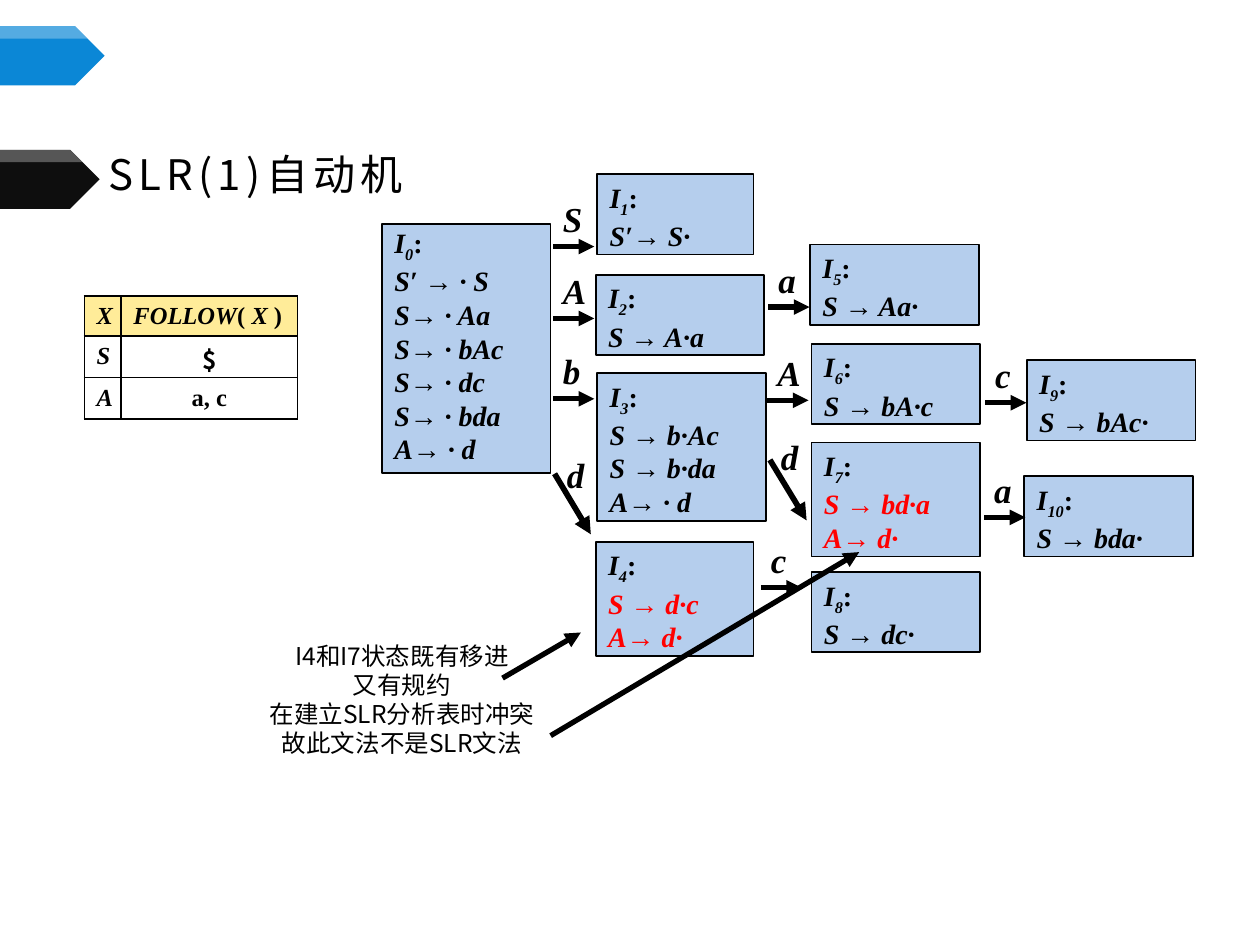
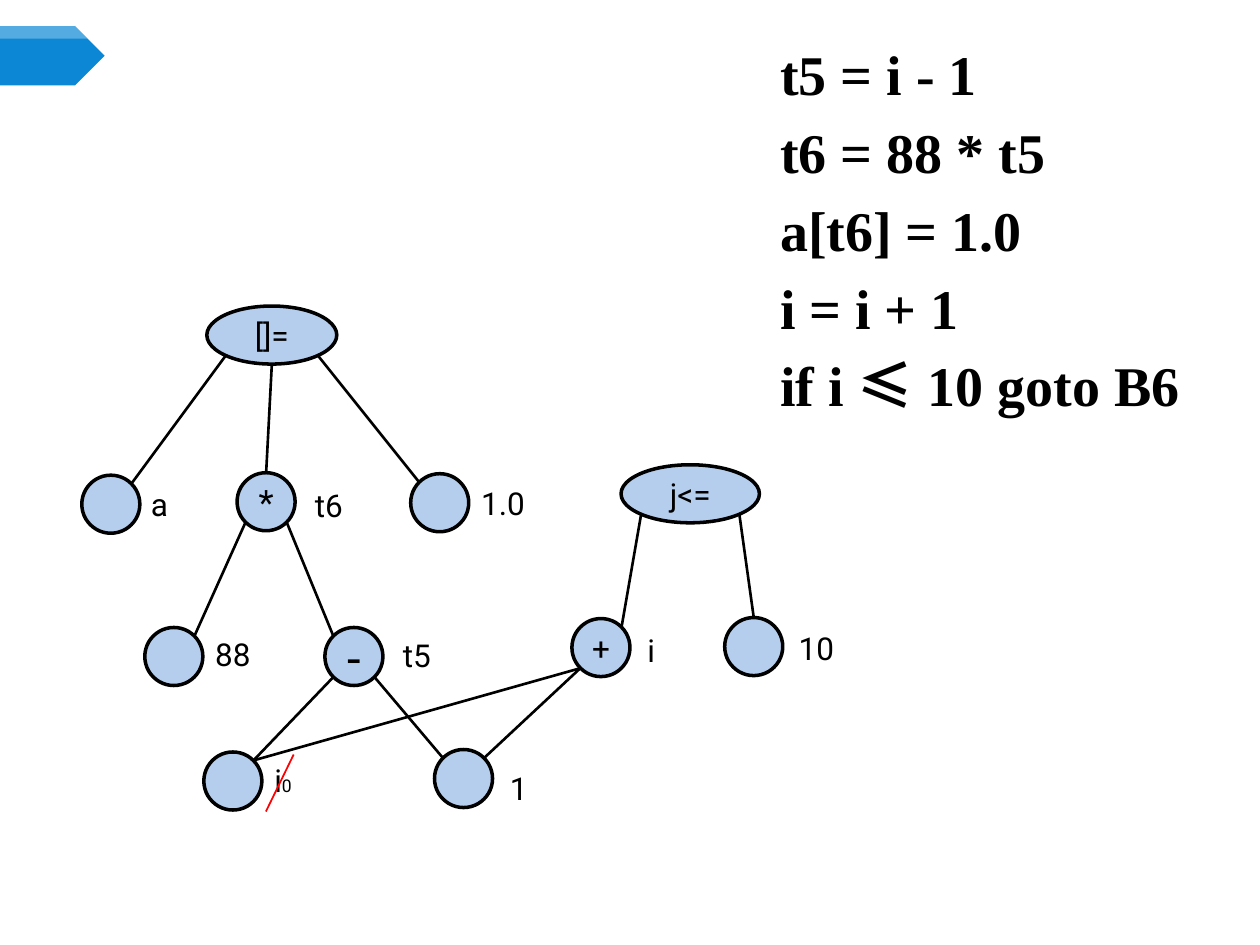
import pptx
import pptx.util
import pptx.dml.color
import pptx.enum.shapes
import pptx.enum.text
import pptx.oxml
import pptx.oxml.ns

Cm, Pt = pptx.util.Cm, pptx.util.Pt
RGB = pptx.dml.color.RGBColor.from_string
Kind = pptx.enum.shapes.MSO_SHAPE
Line = pptx.enum.shapes.MSO_CONNECTOR
Align = pptx.enum.text.PP_ALIGN
Anchor = pptx.enum.text.MSO_ANCHOR
qn = pptx.oxml.ns.qn
NS = pptx.oxml.ns.nsdecls("a")


class Theme:
    ink, red, white = RGB("000000"), RGB("FF0000"), RGB("FFFFFF")
    blue, dark = RGB("0B87D6"), RGB("0E0E0E")
    node, head = RGB("B5CEED"), RGB("FFEC99")
    serif = {"name": "Times New Roman", "bold": True, "italic": False}
    title = {"name": "Noto Sans CJK SC", "size": Pt(24)}
    note = {"name": "Noto Sans CJK JP", "size": Pt(14)}
    code = {**serif, "size": Pt(32)}
    cell = {**serif, "size": Pt(14)}
    state = {**serif, "size": Pt(16), "italic": True}
    move = {**serif, "size": Pt(20), "italic": True}
    tree = {"name": "Roboto", "size": Pt(18)}


def write(frame, lines, look, color=Theme.ink, box=None, para=None):
    """Fill a text frame; a line is a string or a list of (text, changes)."""
    for key, val in {"word_wrap": True, "vertical_anchor": Anchor.TOP, **(box or {})}.items():
        setattr(frame, key, val)
    for n, line in enumerate(lines):
        par = frame.add_paragraph() if n else frame.paragraphs[0]
        for key, val in {"alignment": Align.LEFT, **(para or {})}.items():
            setattr(par, key, val)
        if n == 0:
            par.space_before = Pt(0)
        for text, diff in [(line, {})] if isinstance(line, str) else line:
            run = par.add_run()
            run.text = text
            style = {**look, **diff}
            tint = style.pop("color", color)
            drop = style.pop("drop", None)
            for key, val in style.items():
                setattr(run.font, key, val)
            run.font.color.rgb = tint
            props = run.font._element
            props.append(pptx.oxml.parse_xml(f'<a:ea {NS} typeface="{style["name"]}"/>'))
            if drop:
                props.set("baseline", drop)


def link(slide, ends, width, color=Theme.ink, arrow=False):
    """Draw a straight line between two points in centimetres."""
    wire = slide.shapes.add_connector(Line.STRAIGHT, *[Cm(v) for v in ends])
    wire.line.color.rgb = color
    wire.line.width = Pt(width)
    if arrow:
        wire.line._ln.append(pptx.oxml.parse_xml(f'<a:tailEnd {NS} type="triangle"/>'))
    wire.element.spPr.append(pptx.oxml.parse_xml(f"<a:effectLst {NS}/>"))


deck = pptx.Presentation()
deck.slide_width, deck.slide_height = Cm(25.4), Cm(19.05)
auto = deck.slides.add_slide(deck.slide_layouts[5])
dag = deck.slides.add_slide(deck.slide_layouts[1])

# Arrow bands: the blue one goes to the master, the dark one marks the title
for left, top, color, shared in [(0, 0.53, Theme.blue, True), (-0.1, 3.02, Theme.dark, False)]:
    band = auto.shapes.add_shape(Kind.PENTAGON, Cm(left), Cm(top), Cm(2.11), Cm(1.19))
    band.fill.solid()
    band.fill.fore_color.rgb = color
    pen = auto.shapes.build_freeform(Cm(left), Cm(top))
    pen.add_line_segments([(Cm(left + x), Cm(top + y)) for x, y in [(1.51, 0), (1.76, 0.25), (0, 0.25)]])
    shine = pen.convert_to_shape()
    shine.fill.solid()
    shine.fill.fore_color.rgb = Theme.white
    shade = shine.element.spPr.find(qn("a:solidFill"))[0]
    shade.append(pptx.oxml.parse_xml(f'<a:alpha {NS} val="30000"/>'))
    for num, part in enumerate([band, shine], 90):
        part.line.fill.background()
        part.shadow.inherit = False
        if shared:
            part.element.nvSpPr.cNvPr.set("id", str(num))
            deck.slide_master.shapes.element.append(part.element)

# Slide 1: title
title = auto.shapes.title
title.left, title.top, title.width, title.height = Cm(1.93), Cm(3.15), Cm(22.02), Cm(0.99)
write(title.text_frame, ["SLR(1)自动机"], Theme.title, box={"vertical_anchor": Anchor.BOTTOM})
title.text_frame.paragraphs[0].runs[0].font._element.set("spc", "300")

# Note on the conflict
note = auto.shapes.add_textbox(Cm(5.11), Cm(12.8), Cm(5.99), Cm(2.64))
write(note.text_frame, ["I4和I7状态既有移进", "又有规约", "在建立SLR分析表时冲突", "故此文法不是SLR文法"],
      Theme.note, para={"alignment": Align.CENTER, "line_spacing": Pt(16.6)})

# FOLLOW table
ital = {"italic": True}
cells = [
    [[("X", ital)], [("FOLLOW", ital), ("( ", {}), ("X", ital), (" )", {})]],
    [[("S", ital)], [("$", {"name": "Noto Sans CJK SC"})]],
    [[("A", ital)], "a, c"],
]
grid = auto.shapes.add_table(3, 2, Cm(1.7), Cm(5.97), Cm(4.3), Cm(2.48)).table
grid.first_row = grid.horz_banding = False
for col, wide in zip(grid.columns, [0.74, 3.56]):
    col.width = Cm(wide)
for row, tall in zip(grid.rows, [0.8, 0.84, 0.84]):
    row.height = Cm(tall)
for r, row in enumerate(cells):
    for c, text in enumerate(row):
        cell = grid.cell(r, c)
        props = cell._tc.get_or_add_tcPr()
        for side in "LRTB":
            props.append(pptx.oxml.parse_xml(
                f'<a:ln{side} {NS} w="12700"><a:solidFill><a:srgbClr val="{Theme.ink}"/>'
                f"</a:solidFill></a:ln{side}>"))
        if r:
            cell.fill.background()
        else:
            cell.fill.solid()
            cell.fill.fore_color.rgb = Theme.head
        for key, val in {"margin_left": Cm(0.25), "margin_right": Cm(0.25), "margin_top": Cm(0.1),
                         "margin_bottom": Cm(0.1), "vertical_anchor": Anchor.MIDDLE}.items():
            setattr(cell, key, val)
        write(cell.text_frame, [text], Theme.cell, box={"vertical_anchor": None, "word_wrap": None},
              para={"alignment": Align.CENTER if r and c else Align.LEFT})

# States: left, top, width, items, conflict
states = [
    (7.7, 4.52, 3.4, ["S′ → · S", "S→ · Aa", "S→ · bAc", "S→ · dc", "S→ · bda", "A→ · d"], False),
    (12.04, 3.51, 3.15, ["S′→ S·"], False),
    (12.01, 5.54, 3.4, ["S → A·a"], False),
    (12.04, 7.52, 3.4, ["S → b·Ac", "S → b·da", "A→ · d"], False),
    (12.01, 10.92, 3.18, ["S → d·c", "A→ d·"], True),
    (16.33, 4.93, 3.4, ["S → Aa·"], False),
    (16.36, 6.93, 3.4, ["S → bA·c"], False),
    (16.36, 8.92, 3.4, ["S → bd·a", "A→ d·"], True),
    (16.36, 11.53, 3.4, ["S → dc·"], False),
    (20.7, 7.26, 3.4, ["S → bAc·"], False),
    (20.65, 9.6, 3.4, ["S → bda·"], False),
]
for num, (left, top, wide, items, clash) in enumerate(states):
    tall = 0.26 + 0.68 * (len(items) + 1)
    box = auto.shapes.add_shape(Kind.RECTANGLE, Cm(left), Cm(top), Cm(wide), Cm(tall))
    box.shadow.inherit = False
    box.fill.solid()
    box.fill.fore_color.rgb = Theme.node
    box.line.color.rgb = Theme.ink
    box.line.width = Pt(1)
    name = [("I", {}), (str(num), {"drop": "-25000"}), (":", {"italic": False})]
    tint = {"color": Theme.red if clash else Theme.ink}
    write(box.text_frame, [name] + [[(item, tint)] for item in items], Theme.state,
          para={"line_spacing": None if num else Pt(19.2)})

# Moves: level arrows sit just below their letter, slanted ones have own ends
moves = [
    ("S", 11.1, 3.86, None), ("A", 11.1, 5.31, None), ("b", 11.1, 6.93, None),
    ("d", 11.18, 9.02, (11.18, 9.55, 11.91, 10.77)),
    ("a", 15.44, 5.08, None), ("A", 15.42, 6.96, None),
    ("d", 15.49, 8.66, (15.52, 9.27, 16.26, 10.49)),
    ("c", 15.29, 10.74, None), ("c", 19.81, 7.01, None), ("a", 19.79, 9.32, None),
]
for sign, left, top, slant in moves:
    tag = auto.shapes.add_textbox(Cm(left), Cm(top), Cm(1.47), Cm(1.12))
    write(tag.text_frame, [sign], Theme.move)
    level = (left + 0.05, top + 1.11, left + 0.88, top + 1.11)
    link(auto, slant or level, 3.25 if slant else 3, arrow=True)

# Arrows from the note to the two conflicts
for ends in [(10.13, 13.67, 11.71, 12.75), (11.1, 14.83, 17.32, 11.13)]:
    link(auto, ends, 3, arrow=True)

# Slide 2: code list
dag.shapes.title.element.getparent().remove(dag.shapes.title.element)
body = dag.placeholders[1]
body.left, body.top, body.width, body.height = Cm(15.47), Cm(0.69), Cm(12.85), Cm(11.43)
write(body.text_frame,
      ["t5 = i - 1", "t6 = 88 * t5", "a[t6] = 1.0", "i = i + 1",
       [("if i ", {}), ("≤", {"name": "Noto Sans CJK SC"}), (" 10 goto B6", {})]],
      Theme.code, para={"line_spacing": Pt(38), "space_before": Pt(6.4)})
for par in body.text_frame.paragraphs:
    props = par._p.get_or_add_pPr()
    props.set("marL", "0")
    props.set("indent", "0")
    props.append(pptx.oxml.parse_xml(f"<a:buNone {NS}/>"))

# Nodes: left, top, width, sign, sign size, label, label place
side = 1.17
nodes = {
    "i0": (4.11, 15.16, side, "", 18, [("i", {}), ("0", {"size": Pt(10)})], (5.28, 15.21)),
    "one": (8.76, 15.11, side, "", 18, "1", (10.03, 15.37)),
    "sub": (6.55, 12.65, side, "-", 28, "t5", (7.87, 12.7)),
    "88": (2.92, 12.65, side, "", 18, "88", (4.09, 12.67)),
    "mul": (4.78, 9.53, side, "*", 20, "t6", (6.1, 9.68)),
    "a": (1.65, 9.58, side, "", 18, "a", (2.79, 9.65)),
    "real": (8.28, 9.55, side, "", 18, "1.0", (9.45, 9.63)),
    "set": (4.17, 6.17, 2.62, "[]=", 18, None, None),
    "add": (11.53, 12.47, side, "+", 18, "i", (12.8, 12.6)),
    "jump": (12.52, 9.37, 2.79, "j<=", 18, None, None),
    "ten": (14.61, 12.45, side, "", 18, "10", (15.85, 12.55)),
}
flush = {f"margin_{edge}": 0 for edge in ("left", "right", "top", "bottom")}
for left, top, wide, sign, size, label, place in nodes.values():
    oval = dag.shapes.add_shape(Kind.OVAL, Cm(left), Cm(top), Cm(wide), Cm(side))
    oval.shadow.inherit = False
    oval.fill.solid()
    oval.fill.fore_color.rgb = Theme.node
    oval.line.color.rgb = Theme.ink
    oval.line.width = Pt(2)
    if sign:
        write(oval.text_frame, [sign], {**Theme.tree, "size": Pt(size)},
              box={**flush, "word_wrap": False, "vertical_anchor": Anchor.MIDDLE},
              para={"alignment": Align.CENTER})
    if label:
        tag = dag.shapes.add_textbox(Cm(place[0]), Cm(place[1]), Cm(1.42), Cm(1.07))
        write(tag.text_frame, [label], Theme.tree)

# Edges join compass points on the node outlines
sites = {"n": (0, -1), "s": (0, 1), "nw": (-0.71, -0.71), "ne": (0.71, -0.71),
         "sw": (-0.71, 0.71), "se": (0.71, 0.71)}
edges = [
    ("set", "sw", "a", "ne"), ("set", "s", "mul", "n"), ("set", "se", "real", "nw"),
    ("mul", "sw", "88", "ne"), ("mul", "se", "sub", "nw"),
    ("sub", "sw", "i0", "ne"), ("sub", "se", "one", "nw"),
    ("add", "sw", "i0", "ne"), ("add", "sw", "one", "ne"),
    ("jump", "sw", "add", "ne"), ("jump", "se", "ten", "n"),
]
for top, out, low, into in edges:
    ends = []
    for key, site in [(top, out), (low, into)]:
        x, y, wide = nodes[key][:3]
        dx, dy = sites[site]
        ends += [x + wide / 2 * (1 + dx), y + side / 2 * (1 + dy)]
    link(dag, ends, 1.5)

# Strike through the old value of i
link(dag, (5.36, 16.36, 5.92, 15.21), 1, Theme.red)

deck.save("out.pptx")
